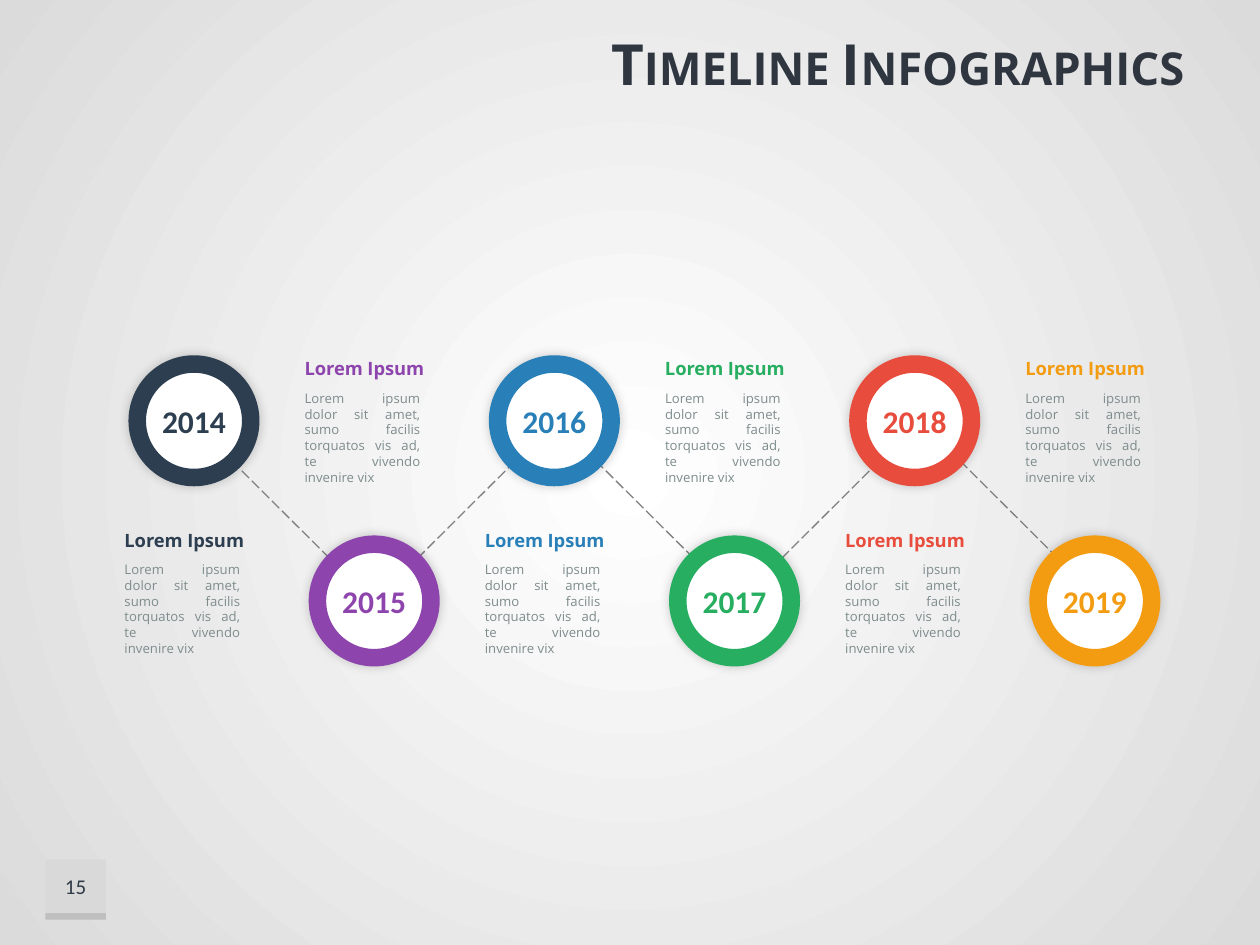
import pptx
import pptx.dml.color
import pptx.enum.dml
import pptx.enum.shapes
import pptx.enum.text
import pptx.oxml
import pptx.util

RGBColor = pptx.dml.color.RGBColor
Shapes = pptx.enum.shapes.MSO_SHAPE
Align = pptx.enum.text.PP_ALIGN
Anchor = pptx.enum.text.MSO_ANCHOR
AutoSize = pptx.enum.text.MSO_AUTO_SIZE
Pt = pptx.util.Pt

TITLE_COLOR = RGBColor(0x2F, 0x36, 0x40)
NUMBER_COLOR = RGBColor(0x2F, 0x3A, 0x46)
BODY_COLOR = RGBColor(0x7E, 0x8C, 0x8D)
LINE_COLOR = RGBColor(0x80, 0x80, 0x80)
BADGE_COLOR = RGBColor(0xD9, 0xD9, 0xD9)
BADGE_EDGE = RGBColor(0xBF, 0xBF, 0xBF)
WHITE = RGBColor(0xFF, 0xFF, 0xFF)
MILESTONES = [
    ("2014", RGBColor(0x2D, 0x3E, 0x50)),
    ("2015", RGBColor(0x8D, 0x44, 0xAD)),
    ("2016", RGBColor(0x29, 0x7F, 0xB8)),
    ("2017", RGBColor(0x27, 0xAE, 0x61)),
    ("2018", RGBColor(0xE8, 0x4C, 0x3D)),
    ("2019", RGBColor(0xF3, 0x9C, 0x11)),
]
HEADING = "Lorem Ipsum"
BODY = "Lorem ipsum dolor sit amet, sumo facilis torquatos vis ad, te vivendo invenire vix"

NAMESPACE = 'xmlns:a="http://schemas.openxmlformats.org/drawingml/2006/main"'
PRESENTATION_NAMESPACE = 'xmlns:p="http://schemas.openxmlformats.org/presentationml/2006/main"'
BACKGROUND = f"""<p:bg {NAMESPACE} {PRESENTATION_NAMESPACE}><p:bgPr>
<a:gradFill rotWithShape="1"><a:gsLst>
<a:gs pos="0"><a:srgbClr val="FFFFFF"/></a:gs>
<a:gs pos="100000"><a:srgbClr val="DBDBDB"/></a:gs></a:gsLst>
<a:path path="circle"><a:fillToRect l="50000" t="50000" r="50000" b="50000"/></a:path>
</a:gradFill><a:effectLst/></p:bgPr></p:bg>"""
NO_EFFECT = f"<a:effectLst {NAMESPACE}/>"
GLOW = f"""<a:effectLst {NAMESPACE}>
<a:outerShdw blurRad="76200" dist="0" dir="13500000" algn="ctr" rotWithShape="0">
<a:srgbClr val="000000"><a:alpha val="20000"/></a:srgbClr></a:outerShdw></a:effectLst>"""


def apply_format(target, values):
    for name, value in values.items():
        setattr(target, name, value)


def part(box, left, top, width, height):
    box_left, box_top, box_width, box_height = box
    return (
        int(box_left + box_width * left / 100),
        int(box_top + box_height * top / 100),
        int(box_width * width / 100),
        int(box_height * height / 100),
    )


def write(shape, text, font, paragraph=None, frame=None):
    apply_format(shape.text_frame, {"word_wrap": True, **(frame or {})})
    line = shape.text_frame.paragraphs[0]
    apply_format(line, paragraph or {})
    run = line.add_run()
    run.text = text
    color = font.pop("color")
    apply_format(run.font, font)
    run.font.color.rgb = color
    return run


def add_filled(slide, kind, box, color):
    shape = slide.shapes.add_shape(kind, *box)
    shape.shadow.inherit = False
    shape.fill.solid()
    shape.fill.fore_color.rgb = color
    shape.line.fill.background()
    return shape


def add_title(slide, box):
    run = write(
        slide.shapes.add_textbox(*box),
        "Timeline Infographics",
        {"name": "Open Sans", "size": Pt(32.4), "bold": True, "color": TITLE_COLOR},
        {"alignment": Align.RIGHT},
        {"vertical_anchor": Anchor.MIDDLE},
    )
    run.font._element.set("cap", "small")


def add_page_badge(slide, box):
    add_filled(slide, Shapes.RECTANGLE, box, BADGE_COLOR)
    add_filled(slide, Shapes.RECTANGLE, part(box, 0, 89, 100, 11), BADGE_EDGE)
    write(
        slide.shapes.add_textbox(*part(box, 0, 0, 100, 89)),
        "15",
        {"name": "Calibri", "size": Pt(12), "color": NUMBER_COLOR},
        {"alignment": Align.CENTER},
        {"vertical_anchor": Anchor.MIDDLE},
    )


def add_zigzag(slide, box):
    turns = 3
    for index in range(len(MILESTONES) - 1):
        wave, rising = divmod(index, 2)
        cell = part(box, wave * 100 / turns, 0, 100 / turns, 100)
        left, top, width, height = part(cell, 51 if rising else 0, 0, 49, 100)
        start, end = (top + height, top) if rising else (top, top + height)
        connector = slide.shapes.add_connector(
            pptx.enum.shapes.MSO_CONNECTOR.STRAIGHT, left, start, left + width, end
        )
        apply_format(connector.line, {
            "width": Pt(0.75),
            "dash_style": pptx.enum.dml.MSO_LINE.LONG_DASH,
        })
        connector.line.color.rgb = LINE_COLOR
        connector._element.spPr.append(pptx.oxml.parse_xml(NO_EFFECT))


def add_caption(slide, box, color):
    write(
        slide.shapes.add_textbox(*part(box, 0, 0, 100, 25)),
        HEADING,
        {"name": "Open Sans", "size": Pt(10.5), "bold": True, "color": color},
        frame={"word_wrap": False, "auto_size": AutoSize.SHAPE_TO_FIT_TEXT},
    )
    write(
        slide.shapes.add_textbox(*part(box, 0, 23.2, 95, 76.8)),
        BODY,
        {"name": "Open Sans", "size": Pt(7.5), "color": BODY_COLOR},
        {"alignment": Align.JUSTIFY, "line_spacing": Pt(9)},
        {"auto_size": AutoSize.SHAPE_TO_FIT_TEXT},
    )


def add_milestone(slide, box, year, color):
    circle = add_filled(slide, Shapes.OVAL, box, WHITE)
    properties = circle._element.spPr
    circle.line.width = Pt(10)
    circle.line.color.rgb = color
    properties.replace(
        properties.find(pptx.oxml.ns.qn("a:effectLst")), pptx.oxml.parse_xml(GLOW)
    )
    margins = dict.fromkeys(
        ("margin_left", "margin_top", "margin_right", "margin_bottom"), 0
    )
    write(
        circle,
        year,
        {"name": "Calibri", "size": Pt(18), "bold": True, "color": color},
        {"alignment": Align.CENTER},
        {"vertical_anchor": Anchor.MIDDLE, **margins},
    )


def add_timeline(slide, box, zigzag_box):
    columns = len(MILESTONES)
    caption_tops = (11.5, 6.5)

    def cell(column, row):
        return part(box, column * 100 / columns, row * 50, 100 / columns, 50)

    for column, (_, color) in enumerate(MILESTONES):
        row = 1 - column % 2
        add_caption(slide, part(cell(column, row), 4.5, caption_tops[row], 82, 78), color)
    add_zigzag(slide, zigzag_box)
    for column, (year, color) in enumerate(MILESTONES):
        add_milestone(slide, part(cell(column, column % 2), 18.5, 18.5, 63, 63), year, color)


def main():
    presentation = pptx.Presentation()
    apply_format(presentation, {
        "slide_width": pptx.util.Inches(10),
        "slide_height": pptx.util.Inches(7.5),
    })
    slide = presentation.slides.add_slide(presentation.slide_layouts[6])
    slide._element.cSld.insert(0, pptx.oxml.parse_xml(BACKGROUND))
    page = (0, 0, presentation.slide_width, presentation.slide_height)
    add_page_badge(slide, part(page, 3.6, 90.93, 4.8, 6.4))
    add_title(slide, part(page, 19.5, 2.13, 75.5, 9.07))
    add_timeline(
        slide,
        part(page, 8.25, 35, 85.8, 38.13),
        part(page, 15.2, 44.53, 86.7, 18.8),
    )
    presentation.save("out.pptx")


if __name__ == "__main__":
    main()
